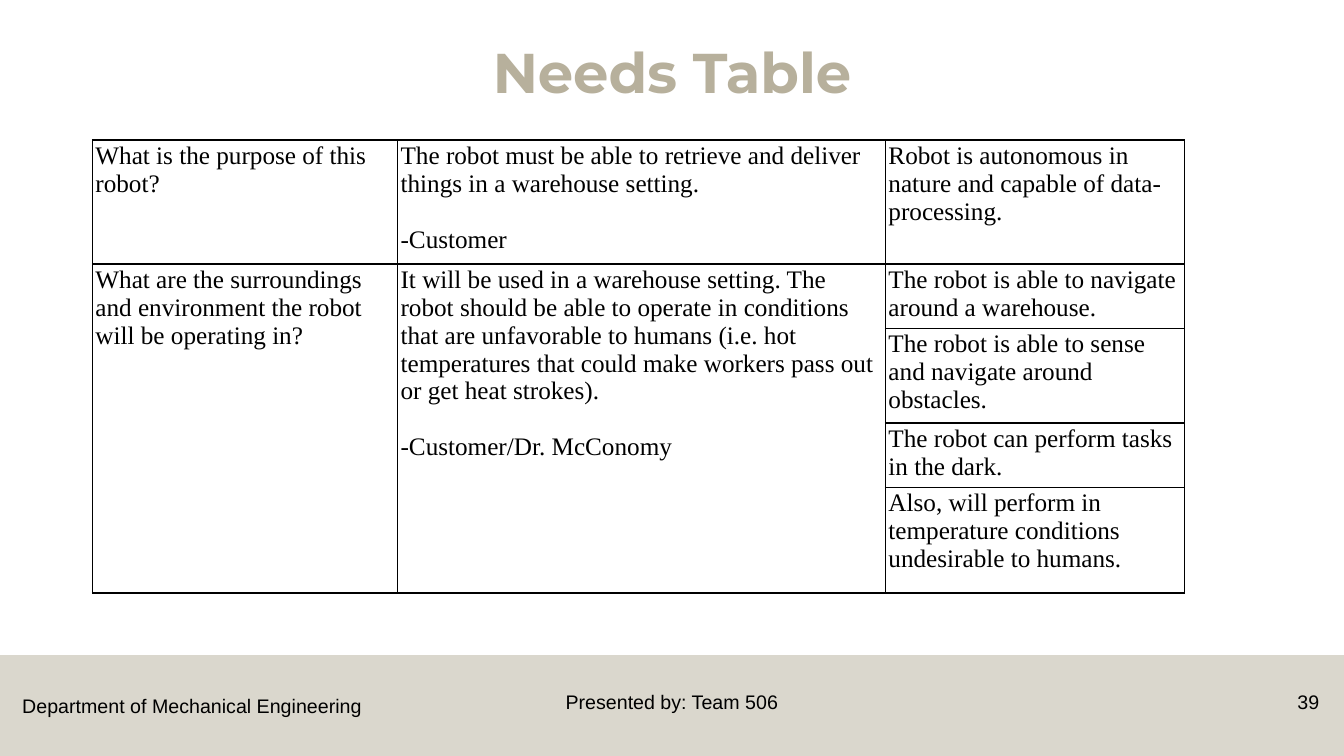
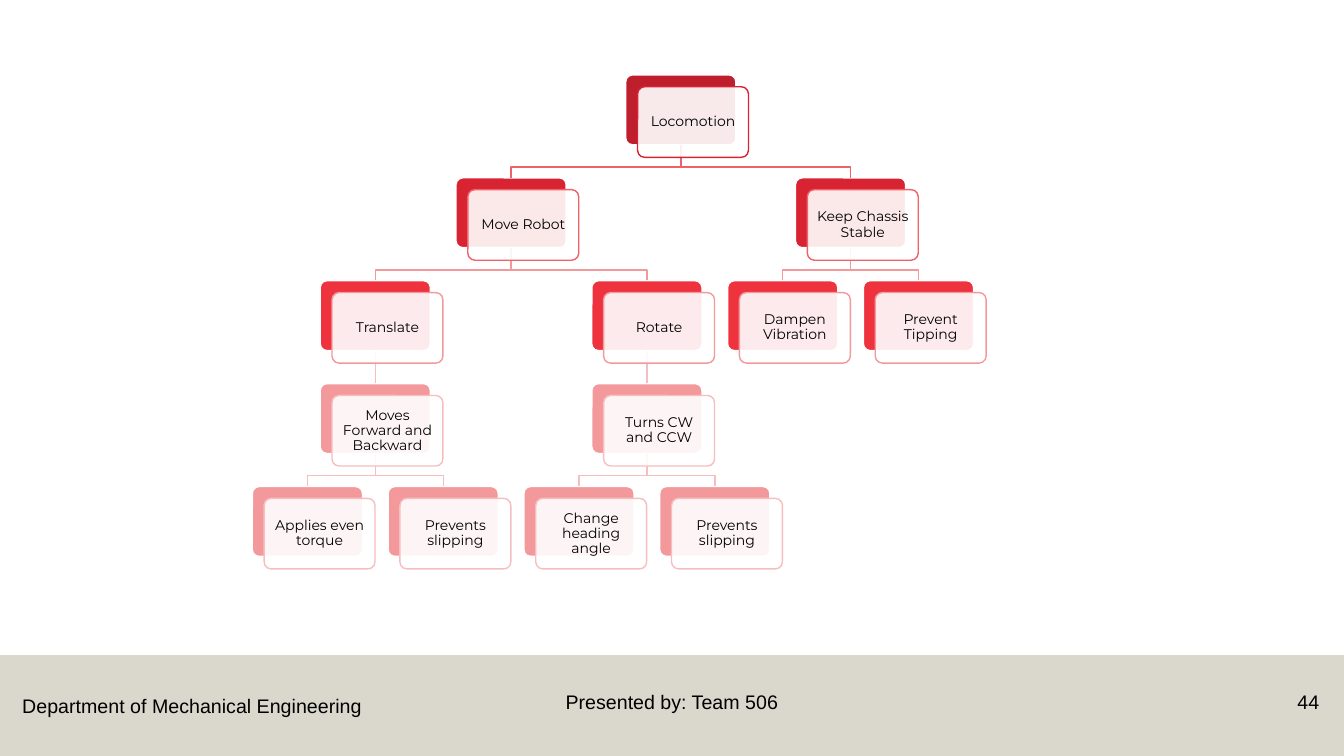
from dataclasses import dataclass

from lxml.etree import SubElement
from pptx import Presentation
from pptx.dml.color import RGBColor
from pptx.enum.shapes import MSO_CONNECTOR, MSO_SHAPE
from pptx.enum.text import MSO_ANCHOR, PP_ALIGN
from pptx.oxml.ns import qn
from pptx.util import Pt


@dataclass(frozen=True)
class Theme:
    tan: str = "B7B09C"
    black: str = "000000"
    white: str = "FFFFFF"
    card_fills: tuple = ("BF1F2C", "D82332", "EE323E", "F3999B", "F3999B")
    card_lines: tuple = ("D82332", "F06268", "F3999B", "F7BEBF", "F7BEBF")
    title_font: str = "Montserrat"
    footer_font: str = "Arial"
    table_font: str = "Times New Roman"
    title_size: int = 40
    table_size: int = 18
    footer_size: int = 14
    card_size: int = 10


theme = Theme()


def write(frame, text, font, size, color=theme.black, bold=False, align=PP_ALIGN.LEFT,
          anchor=None, wrap=True, margin=None, line_spacing=None, gap=0):
    """Fill a text frame, one paragraph per line of text, with gap points between them."""
    if anchor is not None:
        frame.vertical_anchor = anchor
    if margin is not None:
        frame.margin_left = frame.margin_right = Pt(margin)
        frame.margin_top = frame.margin_bottom = Pt(margin)
    frame.word_wrap = wrap
    for index, line in enumerate(text.split("\n")):
        paragraph = frame.paragraphs[0] if index == 0 else frame.add_paragraph()
        paragraph.alignment = align
        if line_spacing:
            paragraph.line_spacing = line_spacing
        if index:
            paragraph.space_before = Pt(gap)
        run = paragraph.add_run()
        run.text = line
        run.font.name = font
        run.font.size = Pt(size)
        run.font.bold = bold
        run.font.color.rgb = RGBColor.from_string(color)


def add_box(slide, kind, left, top, width, height, fill, opacity=100, line=None, line_width=1):
    shape = slide.shapes.add_shape(kind, Pt(left), Pt(top), Pt(width), Pt(height))
    shape.shadow.inherit = False
    shape.fill.solid()
    shape.fill.fore_color.rgb = RGBColor.from_string(fill)
    if opacity < 100:
        color = shape.fill._xPr.find(qn("a:solidFill"))[0]
        SubElement(color, qn("a:alpha")).set("val", str(opacity * 1000))
    if line:
        shape.line.color.rgb = RGBColor.from_string(line)
        shape.line.width = Pt(line_width)
    else:
        shape.line.fill.background()
    return shape


presentation = Presentation()
presentation.slide_width = Pt(960)
presentation.slide_height = Pt(540)

# Slides with the shared footer: left, top, width, height, text, alignment, wrap
slides = []
for number in ("39", "44"):
    slide = presentation.slides.add_slide(presentation.slide_layouts[6])
    add_box(slide, MSO_SHAPE.RECTANGLE, 0, 468, 960, 72, theme.tan, opacity=50)
    for left, top, width, height, text, align, wrap in (
        (8.8, 492, 258.5, 24.5, "Department of Mechanical Engineering", PP_ALIGN.LEFT, False),
        (318, 489, 324, 28.8, "Presented by: Team 506", PP_ALIGN.CENTER, True),
        (894, 489, 55.5, 28.8, number, PP_ALIGN.RIGHT, True),
    ):
        box = slide.shapes.add_textbox(Pt(left), Pt(top), Pt(width), Pt(height))
        write(box.text_frame, text, theme.footer_font, theme.footer_size, align=align, wrap=wrap)
    slides.append(slide)
needs_slide, tree_slide = slides

# Needs table
title = needs_slide.shapes.add_textbox(Pt(66), Pt(28.8), Pt(828), Pt(104.4))
write(title.text_frame, "Needs Table", theme.title_font, theme.title_size, color=theme.tan,
      bold=True, align=PP_ALIGN.CENTER, line_spacing=0.9)

column_widths = (218, 348.5, 213.5)
row_heights = (88.5, 46, 67, 46, 75.5)
needs = (
    ("What is the purpose of this robot?",
     "The robot must be able to retrieve and deliver things in a warehouse setting.\n-Customer",
     "Robot is autonomous in nature and capable of data-processing."),
    ("What are the surroundings and environment the robot will be operating in?",
     "It will be used in a warehouse setting. The robot should be able to operate in "
     "conditions that are unfavorable to humans (i.e. hot temperatures that could make "
     "workers pass out or get heat strokes).\n-Customer/Dr. McConomy",
     "The robot is able to navigate around a warehouse."),
    ("", "", "The robot is able to sense and navigate around obstacles."),
    ("", "", "The robot can perform tasks in the dark."),
    ("", "", "Also, will perform in temperature conditions undesirable to humans."),
)
table = needs_slide.shapes.add_table(
    len(row_heights), len(column_widths), Pt(66), Pt(100),
    Pt(sum(column_widths)), Pt(sum(row_heights))).table
table.first_row = False
table.horz_banding = False
for column, width in zip(table.columns, column_widths):
    column.width = Pt(width)
for row, height in zip(table.rows, row_heights):
    row.height = Pt(height)
for column_index in (0, 1):
    table.cell(1, column_index).merge(table.cell(4, column_index))
for row_index, texts in enumerate(needs):
    for column_index, text in enumerate(texts):
        cell = table.cell(row_index, column_index)
        cell.margin_left = cell.margin_right = Pt(2.2)
        cell.margin_top = cell.margin_bottom = Pt(1.4)
        properties = cell._tc.get_or_add_tcPr()
        for side in ("lnL", "lnR", "lnT", "lnB"):
            border = SubElement(properties, qn("a:" + side), w=str(Pt(1)))
            border_fill = SubElement(border, qn("a:solidFill"))
            SubElement(border_fill, qn("a:srgbClr"), val=theme.black)
        cell.fill.background()
        if text:
            write(cell.text_frame, text, theme.table_font, theme.table_size, gap=20)

# Function tree: label, level, slot (in leaf widths), parent index
functions = (
    ("Locomotion", 0, 2.75, None),
    ("Move Robot", 1, 1.5, 0),
    ("Translate", 2, 0.5, 1),
    ("Moves Forward and Backward", 3, 0.5, 2),
    ("Applies even torque", 4, 0, 3),
    ("Prevents slipping", 4, 1, 3),
    ("Rotate", 2, 2.5, 1),
    ("Turns CW and CCW", 3, 2.5, 6),
    ("Change heading angle", 4, 2, 7),
    ("Prevents slipping", 4, 3, 7),
    ("Keep Chassis Stable", 1, 4, 0),
    ("Dampen Vibration", 2, 3.5, 10),
    ("Prevent Tipping", 2, 4.5, 10),
)
tree_left, tree_top = 180, 53.3
slot_width, level_height = 97, 73.5
card_width, card_height = 79.2, 50.4
front_offset, bend_drop = 8.7, 15.6

positions = [(tree_left + slot * slot_width, tree_top + level * level_height)
             for label, level, slot, parent in functions]

backs = []
for (label, level, slot, parent), (left, top) in zip(functions, positions):
    back = add_box(tree_slide, MSO_SHAPE.ROUNDED_RECTANGLE, left, top, card_width, card_height,
                   theme.card_fills[level], line=theme.white, line_width=1.5)
    back.adjustments[0] = 0.1
    backs.append(back)

for index, (label, level, slot, parent) in enumerate(functions):
    if parent is None:
        continue
    start_x, end_x = (positions[card][0] + card_width / 2 for card in (parent, index))
    start_y, end_y = positions[parent][1] + card_height, positions[index][1]
    if start_x == end_x:
        link = tree_slide.shapes.add_connector(
            MSO_CONNECTOR.STRAIGHT, Pt(start_x), Pt(start_y), Pt(end_x), Pt(end_y))
        link.begin_connect(backs[parent], 2)
        link.end_connect(backs[index], 0)
        SubElement(link._element.spPr, qn("a:effectLst"))
    else:
        bend_y = start_y + bend_drop
        outline = tree_slide.shapes.build_freeform(Pt(start_x), Pt(start_y))
        outline.add_line_segments(
            [(Pt(x), Pt(y)) for x, y in ((start_x, bend_y), (end_x, bend_y), (end_x, end_y))],
            close=False)
        link = outline.convert_to_shape()
        link.fill.background()
        link.shadow.inherit = False
    link.line.color.rgb = RGBColor.from_string(theme.card_lines[level])
    link.line.width = Pt(1)

for (label, level, slot, parent), (left, top) in zip(functions, positions):
    front = add_box(tree_slide, MSO_SHAPE.ROUNDED_RECTANGLE, left + front_offset,
                    top + front_offset, card_width, card_height, theme.white, opacity=90,
                    line=theme.card_lines[level])
    front.adjustments[0] = 0.1
    write(front.text_frame, label, theme.title_font, theme.card_size, align=PP_ALIGN.CENTER,
          anchor=MSO_ANCHOR.MIDDLE, margin=3, line_spacing=0.9)

presentation.save("out.pptx")
